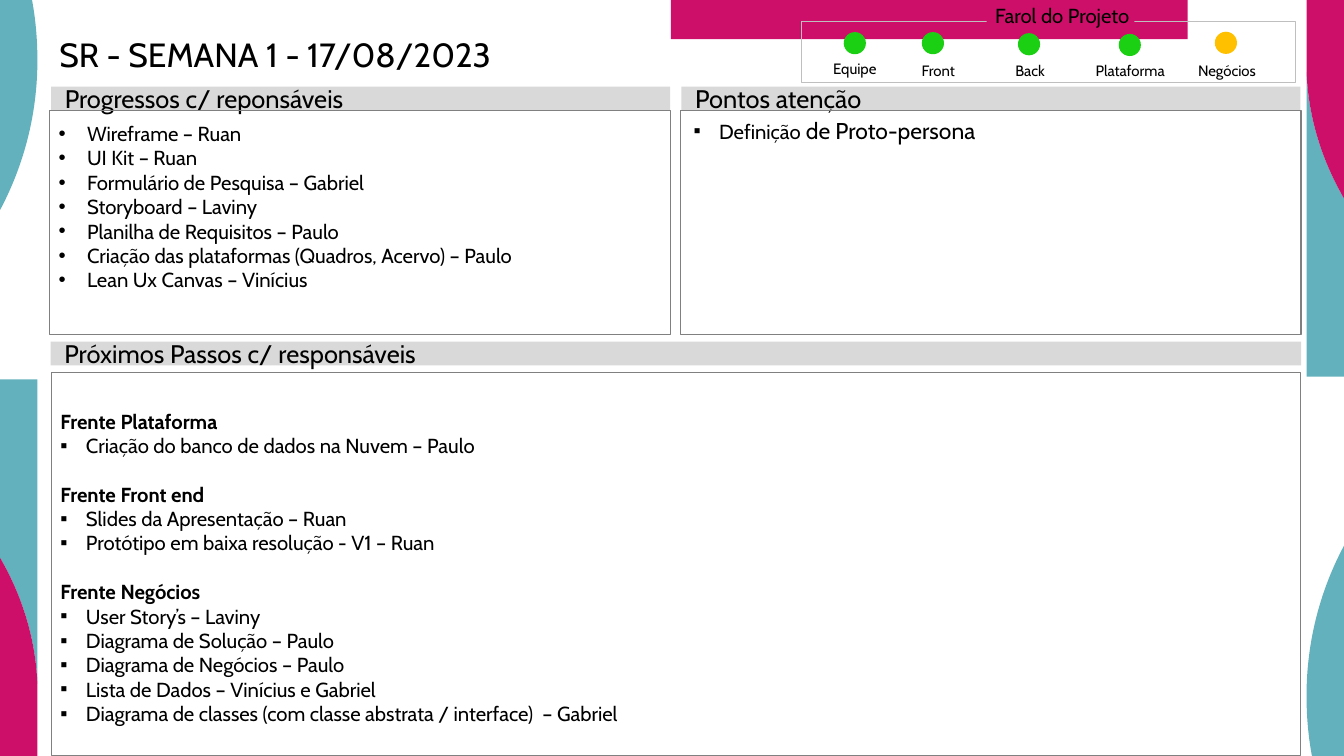
from lxml import etree
from pptx import Presentation
from pptx.dml.color import RGBColor
from pptx.enum import shapes, text
from pptx.oxml import ns
from pptx.util import Cm, Pt

WIDTH, HEIGHT = 37.34, 21.0
FONT = "Cabin"
COLORS = {
    "teal": "63B1BC", "magenta": "CE0F69", "header": "D9D9D9",
    "border": "808080", "frame": "BFBFBF", "text": "000000",
    "green": "1BCF13", "amber": "FFC000",
}

PROGRESS = [
    "Wireframe – Ruan",
    "UI Kit – Ruan",
    "Formulário de Pesquisa – Gabriel",
    "Storyboard – Laviny",
    "Planilha de Requisitos – Paulo",
    "Criação das plataformas (Quadros, Acervo) – Paulo",
    "Lean Ux Canvas – Vinícius",
]
NEXT_STEPS = {
    "Frente Plataforma": ["Criação do banco de dados na Nuvem – Paulo"],
    "Frente Front end": [
        "Slides da Apresentação – Ruan",
        "Protótipo em baixa resolução - V1 – Ruan",
    ],
    "Frente Negócios": [
        "User Story’s – Laviny",
        "Diagrama de Solução – Paulo",
        "Diagrama de Negócios – Paulo",
        "Lista de Dados – Vinícius e Gabriel",
        "Diagrama de classes (com classe abstrata / interface)  – Gabriel",
    ],
}
# Label, label centre, label top, dot centre, dot top, colour
LIGHTS = [
    ("Equipe", 23.75, 1.65, 23.75, 0.91, "green"),
    ("Front", 26.07, 1.7, 25.92, 0.91, "green"),
    ("Back", 28.62, 1.7, 28.59, 0.94, "green"),
    ("Plataforma", 31.4, 1.7, 31.39, 0.96, "green"),
    ("Negócios", 34.09, 1.7, 34.06, 0.9, "amber"),
]


def color(name):
    return RGBColor.from_string(COLORS[name])


def style_shape(shape, fill=None, line=None, line_width=1):
    shape.shadow.inherit = False
    if fill:
        shape.fill.solid()
        shape.fill.fore_color.rgb = color(fill)
    else:
        shape.fill.background()
    if line:
        shape.line.color.rgb = color(line)
        shape.line.width = Pt(line_width)
    else:
        shape.line.fill.background()


def add_box(slide, left, top, width, height, kind="RECTANGLE", **style):
    shape = slide.shapes.add_shape(
        shapes.MSO_SHAPE[kind], Cm(left), Cm(top), Cm(width), Cm(height))
    style_shape(shape, **style)
    return shape


def set_frame(frame, anchor="TOP", insets=(0.25, 0.3, 0.25, 0.13), wrap=True):
    frame.word_wrap = wrap
    frame.auto_size = text.MSO_AUTO_SIZE.NONE
    frame.vertical_anchor = text.MSO_ANCHOR[anchor]
    (frame.margin_left, frame.margin_top,
     frame.margin_right, frame.margin_bottom) = map(Cm, insets)


def add_run(paragraph, words, size=16, bold=False):
    run = paragraph.add_run()
    run.text = words
    run.font.name = FONT
    run.font.size = Pt(size)
    run.font.bold = bold
    run.font.color.rgb = color("text")


def write(frame, words, size=16, bold=False, align="LEFT", bullet=None,
          indent=0.71, before=0):
    """Fill the empty first paragraph, or add one, and format it."""
    paragraph = frame.paragraphs[0]
    if paragraph.runs:
        paragraph = frame.add_paragraph()
    paragraph.alignment = text.PP_ALIGN[align]
    paragraph.space_before = Pt(before)
    add_run(paragraph, words, size, bold)
    if bullet:
        properties = paragraph._p.get_or_add_pPr()
        properties.set("marL", str(Cm(indent)))
        properties.set("indent", str(-Cm(indent)))
        etree.SubElement(properties, ns.qn("a:buFont")).set("typeface", "Arial")
        etree.SubElement(properties, ns.qn("a:buChar")).set("char", bullet)
    return paragraph


def add_outline(slide, points, fill):
    """Two straight edges, then Bezier curves of three points each."""
    corners = [(Cm(x), Cm(y)) for x, y in points]
    builder = slide.shapes.build_freeform(*corners[0])
    builder.add_line_segments(corners[1:], close=True)
    shape = builder.convert_to_shape()
    style_shape(shape, fill=fill)
    edges = list(shape._element.iter(ns.qn("a:lnTo")))[2:]
    for start in range(0, len(edges), 3):
        bezier = etree.Element(ns.qn("a:cubicBezTo"))
        edges[start].addprevious(bezier)
        for edge in edges[start:start + 3]:
            bezier.append(edge[0])
            edge.getparent().remove(edge)


def add_side_decor(slide):
    """Left edge ornaments, repeated on the right by a half turn."""
    leaf = [(0.89, 0), (0, 0), (0, 5.84),
            (0.66, 4.6), (1.04, 3.18), (1.04, 1.68),
            (1.04, 1.09), (0.99, 0.53), (0.89, 0)]
    arc = [(0, 15.49), (0.61, 16.54), (0.99, 17.73), (1.04, 19)]
    column = [(1.04, 10.54), (0, 10.54)] + arc
    corner = [(1.04, 21), (0, 21)] + arc
    for points, fill in ((leaf, "teal"), (column, "teal"), (corner, "magenta")):
        add_outline(slide, points, fill)
        add_outline(slide, [(WIDTH - x, HEIGHT - y) for x, y in points], fill)


def add_title(slide, words):
    title = slide.shapes.title
    title.left, title.top, title.width, title.height = map(
        Cm, (1.35, 1.07, 33.6, 2.24))
    set_frame(title.text_frame, insets=(0.3, 0, 0.3, 0))
    write(title.text_frame, words, size=26.4).line_spacing = 0.9


def add_header(slide, words, left, top, width):
    header = add_box(slide, left, top, width, 0.66, fill="header")
    set_frame(header.text_frame, "MIDDLE", (0.38, 0.18, 0.38, 0.18))
    write(header.text_frame, words, size=20)


def add_panel(slide, left, top, width, height, **frame_format):
    panel = add_box(slide, left, top, width, height, line="border")
    set_frame(panel.text_frame, **frame_format)
    return panel.text_frame


def add_light(slide, label, label_center, label_top, dot_center, dot_top, fill):
    box = slide.shapes.add_textbox(
        Cm(label_center - 1.25), Cm(label_top), Cm(2.5), Cm(0.51))
    set_frame(box.text_frame, "BOTTOM", (0.15, 0.15, 0.15, 0), wrap=False)
    write(box.text_frame, label, size=11.8, align="CENTER")
    add_box(slide, dot_center - 0.29, dot_top, 0.58, 0.58, "OVAL",
            fill=fill, line=fill)


def add_project_lights(slide):
    add_box(slide, 22.27, 0.58, 13.72, 1.72, line="frame", line_width=0.5)
    caption = add_box(slide, 27.41, 0.18, 4.11, 0.58, fill="magenta")
    set_frame(caption.text_frame, "BOTTOM", (0.25, 0.15, 0.15, 0), wrap=False)
    write(caption.text_frame, "Farol do Projeto", align="CENTER")
    for light in LIGHTS:
        add_light(slide, *light)


def main():
    presentation = Presentation()
    presentation.slide_width, presentation.slide_height = Cm(WIDTH), Cm(HEIGHT)
    slide = presentation.slides.add_slide(presentation.slide_layouts[5])

    # Background and title
    add_side_decor(slide)
    add_box(slide, 18.64, 0, 14.36, 1.09, fill="magenta")
    add_title(slide, "SR - SEMANA 1 - 17/08/2023")

    # Section headers
    add_header(slide, "Progressos c/ reponsáveis", 1.42, 2.41, 17.2)
    add_header(slide, "Pontos atenção", 18.93, 2.41, 17.2)
    add_header(slide, "Próximos Passos c/ responsáveis", 1.41, 9.49, 34.74)

    # Progress
    progress = add_panel(slide, 1.38, 3.07, 17.25, 6.22)
    for item in PROGRESS:
        write(progress, item, bullet="•", indent=0.79)

    # Points of attention
    attention = add_panel(slide, 18.9, 3.07, 17.25, 6.22,
                          insets=(0.37, 0.18, 0.25, 0.13))
    point = write(attention, "Definição", bullet="▪")
    add_run(point, " de Proto-persona", size=18)

    # Next steps
    steps = add_panel(slide, 1.43, 10.35, 34.71, 10.64, anchor="MIDDLE")
    for index, (front, items) in enumerate(NEXT_STEPS.items()):
        write(steps, front, bold=True, before=19.2 if index else 0)
        for item in items:
            write(steps, item, bullet="▪")

    # Project status
    add_project_lights(slide)
    presentation.save("out.pptx")


if __name__ == "__main__":
    main()
